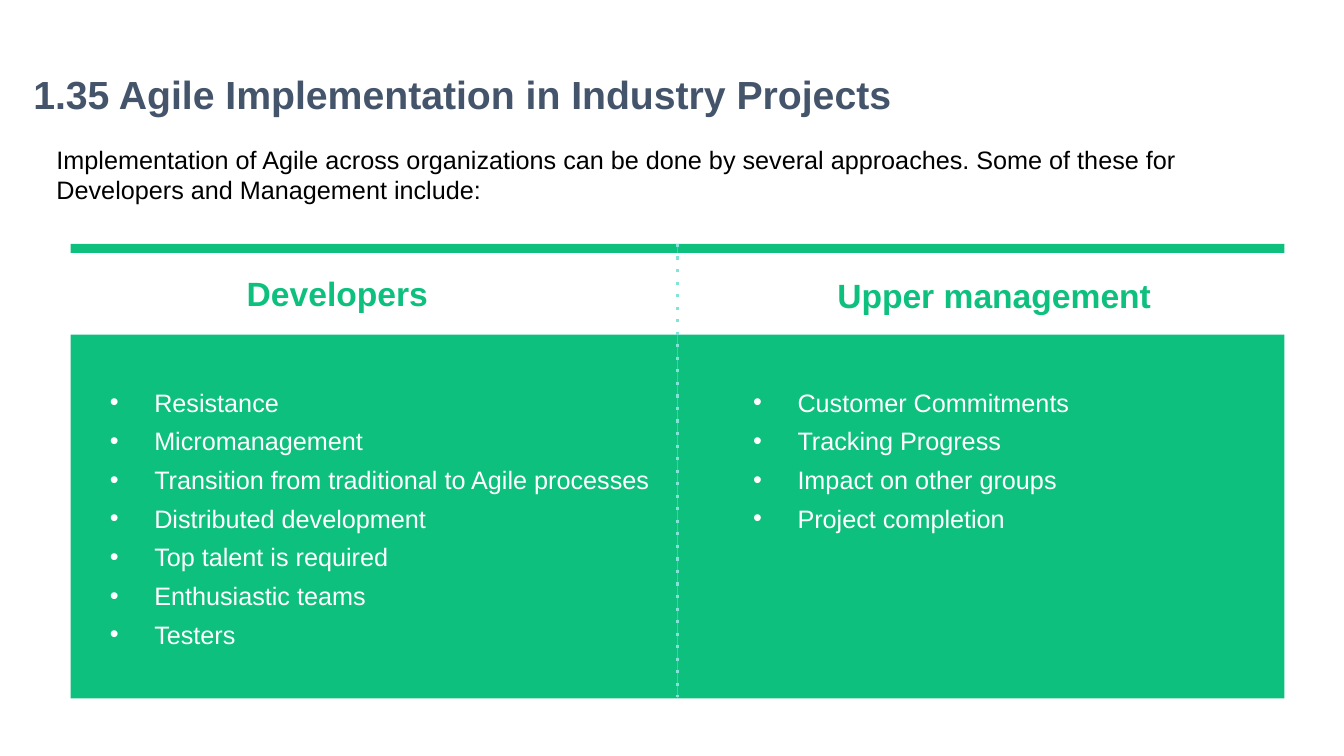
from lxml.etree import SubElement
from pptx import Presentation
from pptx.dml.color import RGBColor
from pptx.enum.shapes import MSO_CONNECTOR, MSO_SHAPE
from pptx.enum.text import MSO_ANCHOR, MSO_AUTO_SIZE, PP_ALIGN
from pptx.oxml.ns import qn
from pptx.util import Inches, Pt

# Content
TITLE = "1.35 Agile Implementation in Industry Projects"
INTRO = ("Implementation of Agile across organizations can be done by several approaches. "
         "Some of these for Developers and Management include:")
# Each group: heading, heading box (left, top, width), list box (left, width), points
GROUPS = [
    ("Developers", (1.27, 2.52, 4.15), (0.73, 5.99),
     ["Resistance", "Micromanagement", "Transition from traditional to Agile processes",
      "Distributed development", "Top talent is required", "Enthusiastic teams", "Testers"]),
    ("Upper management", (7.29, 2.54, 5.14), (7.11, 5.32),
     ["Customer Commitments", "Tracking Progress", "Impact on other groups",
      "Project completion"]),
]

# Colours and layout
SLATE = RGBColor(0x44, 0x54, 0x6A)
BLACK = RGBColor(0, 0, 0)
WHITE = RGBColor(255, 255, 255)
GREEN = RGBColor(0x0E, 0xC0, 0x7D)
AQUA = RGBColor(0x83, 0xE3, 0xD9)
PANEL_LEFT, PANEL_WIDTH = 0.7, 6.02
BAR_TOP, BAR_HEIGHT = 2.42, 0.09
PANEL_TOP, PANEL_HEIGHT = 3.32, 3.61
LIST_TOP, LIST_LINE = 3.71, 0.38
PAD = (0.13, 0.13, 0.13, 0.13)


def write(box, lines, *, size, color, bold=False, align=PP_ALIGN.LEFT, spacing=1.0,
          before=0, after=0, insets=PAD, anchor=MSO_ANCHOR.TOP, margin=0, indent=0,
          bullet=None):
    """Fill a box with one paragraph per line."""
    frame = box.text_frame
    frame.word_wrap = True
    frame.auto_size = MSO_AUTO_SIZE.NONE
    frame.vertical_anchor = anchor
    (frame.margin_left, frame.margin_top,
     frame.margin_right, frame.margin_bottom) = map(Inches, insets)
    frame.text = "\n".join(lines)
    for paragraph in frame.paragraphs:
        paragraph.alignment = align
        paragraph.line_spacing = spacing
        paragraph.space_before, paragraph.space_after = Pt(before), Pt(after)
        font = paragraph.font
        font.name, font.size, font.bold = "Arial", Pt(size), bold
        font.color.rgb = color
        for run in paragraph.runs:
            run.font.name, run.font.size, run.font.bold = "Arial", Pt(size), bold
            run.font.color.rgb = color
        props = paragraph._p.get_or_add_pPr()
        props.set("marL", str(Inches(margin)))
        props.set("indent", str(Inches(indent)))
        marks = []
        if bullet:
            tint = props.makeelement(qn("a:buClr"), {})
            SubElement(tint, qn("a:srgbClr"), val=str(color))
            marks = [tint, props.makeelement(qn("a:buFont"), {"typeface": "Arial"}),
                     props.makeelement(qn("a:buChar"), {"char": bullet})]
        else:
            marks = [props.makeelement(qn("a:buNone"), {})]
        # Bullet marks come before the default run properties
        defaults = props.find(qn("a:defRPr"))
        for mark in marks:
            defaults.addprevious(mark)


def place(box, left, top, width, height):
    box.left, box.top = Inches(left), Inches(top)
    box.width, box.height = Inches(width), Inches(height)


def add_text(slide, left, top, width, height):
    return slide.shapes.add_textbox(Inches(left), Inches(top), Inches(width), Inches(height))


def add_band(slide, left, top, height):
    band = slide.shapes.add_shape(MSO_SHAPE.RECTANGLE, Inches(left), Inches(top),
                                  Inches(PANEL_WIDTH), Inches(height))
    band.shadow.inherit = False
    band.fill.solid()
    band.fill.fore_color.rgb = GREEN
    band.line.fill.background()


def add_divider(slide, x, top, bottom):
    divider = slide.shapes.add_connector(MSO_CONNECTOR.STRAIGHT, Inches(x), Inches(top),
                                         Inches(x), Inches(bottom))
    divider.line.color.rgb = AQUA
    divider.line.width = Pt(2.25)
    props = divider._element.spPr
    SubElement(props.find(qn("a:ln")), qn("a:prstDash"), val="dot")
    SubElement(props, qn("a:effectLst"))


def main():
    deck = Presentation()
    deck.slide_width, deck.slide_height = Inches(13.33), Inches(7.5)
    slide = deck.slides.add_slide(deck.slide_layouts[1])

    # Title and introduction
    title, intro = slide.placeholders
    place(title, 0.23, 0.69, 11.5, 0.54)
    write(title, [TITLE], size=28, color=SLATE, bold=True, spacing=0.9,
          insets=(0.1, 0.05, 0.1, 0.05), anchor=MSO_ANCHOR.MIDDLE)
    place(intro, 0.56, 1.43, 11.24, 5.29)
    write(intro, [INTRO], size=18, color=BLACK, before=6, after=6,
          insets=(0, 0, 0.1, 0.05), indent=0)

    # The two groups side by side
    for column, (heading, heading_at, (list_left, list_width), points) in enumerate(GROUPS):
        left = PANEL_LEFT + column * PANEL_WIDTH
        add_band(slide, left, PANEL_TOP, PANEL_HEIGHT)
        add_band(slide, left, BAR_TOP, BAR_HEIGHT)
        write(add_text(slide, *heading_at, 0.44), [heading], size=24, color=GREEN,
              bold=True, align=PP_ALIGN.CENTER, spacing=1.15, after=21.3)
        list_height = 2 * PAD[1] + LIST_LINE * len(points)
        write(add_text(slide, list_left, LIST_TOP, list_width, list_height), points,
              size=18, color=WHITE, before=6, margin=0.67, indent=-0.44, bullet="•")

    # Dotted divider between the groups
    add_divider(slide, PANEL_LEFT + PANEL_WIDTH, BAR_TOP, 6.91)
    deck.save("out.pptx")


if __name__ == "__main__":
    main()
